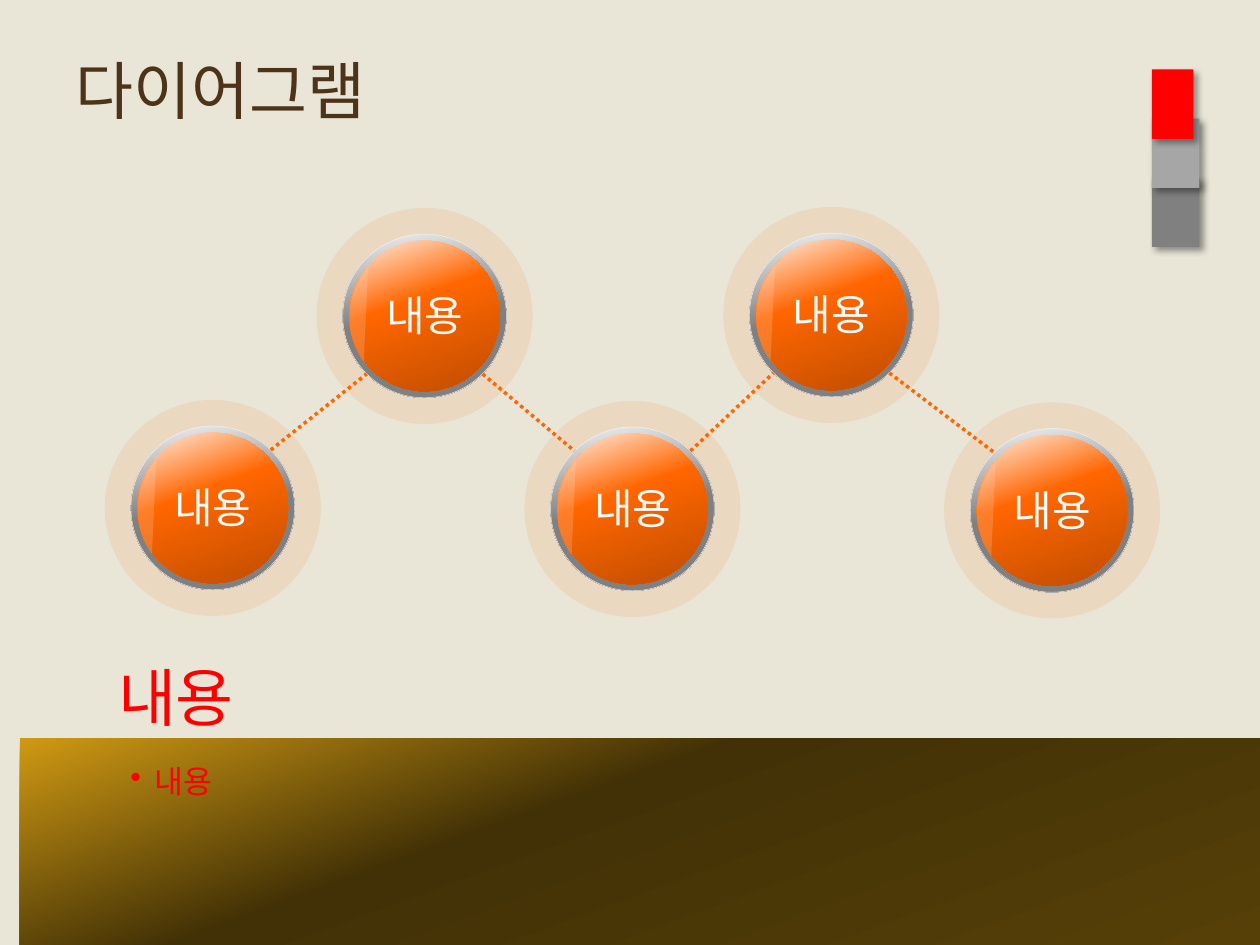
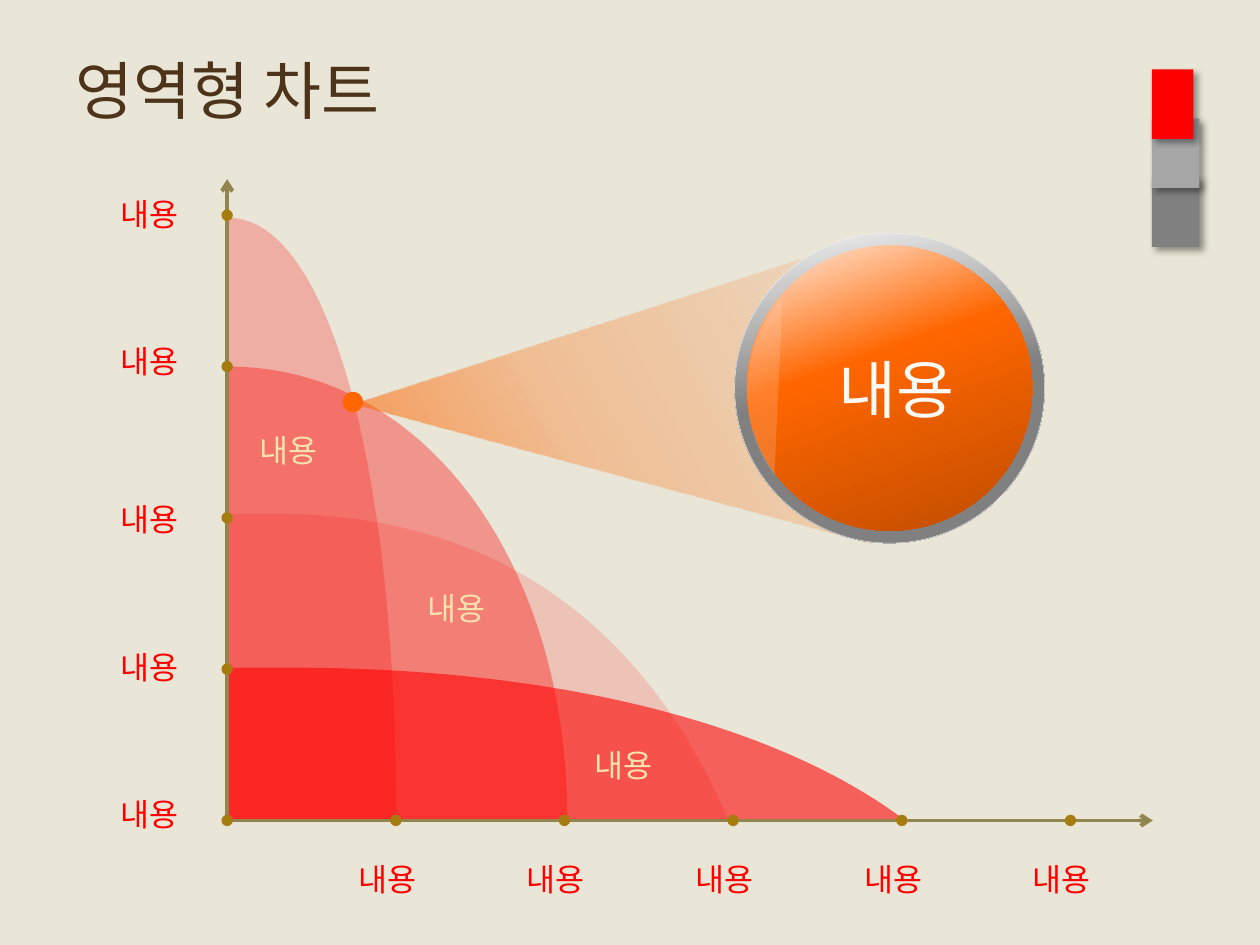
import dataclasses

import lxml.etree
import pptx
import pptx.dml.color
import pptx.enum.dml
import pptx.enum.shapes
import pptx.enum.text
import pptx.oxml.ns
import pptx.util

Cm = pptx.util.Cm
Pt = pptx.util.Pt
qn = pptx.oxml.ns.qn
KIND = pptx.enum.shapes.MSO_SHAPE
ALIGN = pptx.enum.text.PP_ALIGN
ANCHOR = pptx.enum.text.MSO_ANCHOR


@dataclasses.dataclass(frozen=True)
class Theme:
    """Colours, fonts and type sizes of the deck."""
    paper: str = "E9E6D7"
    brown: str = "4D3319"
    red: str = "FF0000"
    orange: str = "FF6600"
    white: str = "FBFAF7"
    cream: str = "F8E3AF"
    axis: str = "91864F"
    dot: str = "A67C0F"
    rim: str = "F2F2F2"
    gloss: str = "FFE0CC"
    dark: str = "808080"
    light: str = "A6A6A6"
    black: str = "000000"
    ring: tuple = ((0, "F2F2F2", 100), (50, "808080", 100), (100, "808080", 100))
    ball: tuple = ((0, "FFF0E6", 100), (40, "FF6600", 100), (100, "BF4D00", 100))
    gold: tuple = ((0, "CF9913", 100), (40, "423106", 100), (100, "564008", 100))
    beam: tuple = ((0, "FF6600", 75), (40, "FF6600", 30), (100, "FF6600", 0))
    head: str = "DejaVu Sans"
    body: str = "Karla"
    large: int = 36
    mid: int = 24
    small: int = 18


THEME = Theme()
WORD = "내용"


def rgb(code):
    """Turn a hex code into a colour."""
    return pptx.dml.color.RGBColor.from_string(code)


def add(parent, tag, **attrs):
    """Append a drawing element with attributes."""
    return lxml.etree.SubElement(parent, qn(tag), {k: str(v) for k, v in attrs.items()})


def paint(shape, fill, alpha=100, angle=0):
    """Fill a shape with a colour or with gradient stops, without line or shadow."""
    shape.shadow.inherit = False
    shape.line.fill.background()
    if isinstance(fill, str):
        shape.fill.solid()
        shape.fill.fore_color.rgb = rgb(fill)
        if alpha < 100:
            tone = shape._element.spPr.find(qn("a:solidFill"))[0]
            add(tone, "a:alpha", val=alpha * 1000)
        return shape
    shape.fill.gradient()
    grad = shape._element.spPr.find(qn("a:gradFill"))
    stops = grad.find(qn("a:gsLst"))
    for old in list(stops):
        stops.remove(old)
    for place, code, clear in fill:
        stop = add(stops, "a:gs", pos=place * 1000)
        add(add(stop, "a:srgbClr", val=code), "a:alpha", val=clear * 1000)
    grad.find(qn("a:lin")).set("ang", str(angle * 60000))
    return shape


def form(shapes, kind, box, fill, **style):
    """Add a painted preset shape."""
    return paint(shapes.add_shape(kind, *map(Cm, box)), fill, **style)


def outline(shapes, points, fill, **style):
    """Add a painted closed outline through points."""
    spots = [(Cm(x), Cm(y)) for x, y in points]
    pen = shapes.build_freeform(*spots[0], scale=1.0)
    pen.add_line_segments(spots[1:], close=True)
    return paint(pen.convert_to_shape(), fill, **style)


def line(shapes, start, end, color, width, dash=None, arrow=False):
    """Add a straight line, with an arrow at its start if asked."""
    link = shapes.add_connector(pptx.enum.shapes.MSO_CONNECTOR.STRAIGHT,
                                *map(Cm, (*start, *end)))
    link.line.color.rgb = rgb(color)
    link.line.width = Pt(width)
    if dash:
        link.line.dash_style = dash
    props = link._element.spPr
    if arrow:
        add(props.find(qn("a:ln")), "a:headEnd", type="arrow")
    add(props, "a:effectLst")


def write(shapes, box, text, size=THEME.small, color=THEME.red, font=THEME.body,
          align=ALIGN.LEFT, anchor=ANCHOR.TOP, wrap=True, inset=True, bullet=False):
    """Add a text box with one formatted paragraph."""
    frame = shapes.add_textbox(*map(Cm, box)).text_frame
    frame.word_wrap = wrap
    frame.vertical_anchor = anchor
    if not inset:
        frame.margin_left = frame.margin_right = Cm(0)
        frame.margin_top = frame.margin_bottom = Cm(0)
    para = frame.paragraphs[0]
    para.alignment = align
    run = para.add_run()
    run.text = text
    run.font.size = Pt(size)
    run.font.name = font
    run.font.color.rgb = rgb(color)
    if bullet:
        props = para._p.get_or_add_pPr()
        props.set("marL", str(Cm(0.48)))
        props.set("indent", str(-Cm(0.48)))
        add(props, "a:buChar", char="•")


def tabs(shapes, box):
    """Stack the three shaded tabs of the corner."""
    x, y, wide, high = box
    for drop, width, color in ((2.18, wide, THEME.dark), (0.99, wide, THEME.light),
                               (0, 0.84, THEME.red)):
        tab = form(shapes, KIND.RECTANGLE, (x, y + drop, width, high), color)
        glow = add(tab._element.spPr.find(qn("a:effectLst")), "a:outerShdw",
                   blurRad=Pt(4), dist=Pt(3), dir=45 * 60000, algn="tl", rotWithShape=0)
        add(add(glow, "a:srgbClr", val=THEME.black), "a:alpha", val=40000)


def base(deck, title):
    """Add a blank slide with its ground, tabs and title."""
    slide = deck.slides.add_slide(deck.slide_layouts[6])
    slide.background.fill.solid()
    slide.background.fill.fore_color.rgb = rgb(THEME.paper)
    tabs(slide.shapes, (23.22, 1.4, 0.96, 1.4))
    write(slide.shapes, (1.27, 0.84, 21.67, 1.93), title, size=THEME.large,
          color=THEME.brown, font=THEME.head, anchor=ANCHOR.MIDDLE)
    return slide


def orb(shapes, box, halo=False):
    """Draw a glossy ball in a metal ring."""
    x, y, size = box
    parts = shapes.add_group_shape().shapes

    def disc(inset, fill, kind=KIND.OVAL, drop=0, **style):
        """Add a round part, inset by a share of the size."""
        edge = size * inset
        side = size - 2 * edge
        return form(parts, kind, (x + edge, y + edge + drop, side, side), fill, **style)

    if halo:
        disc(-0.16, THEME.orange, alpha=10)
    ring = disc(0, THEME.ring, angle=80)
    ring.line.color.rgb = rgb(THEME.rim)
    ring.line.width = Pt(0.25)
    disc(0.04, THEME.ball, angle=70)
    shine = disc(0.04, THEME.gloss, kind=KIND.CHORD, drop=size * 0.01, alpha=20)
    shine.adjustments[0] = 32.37
    shine.adjustments[1] = 78.78
    shine.rotation = 90


def chain(shapes, box):
    """Draw five balls in a zigzag, joined by dotted lines."""
    left, top, size = box
    spots = [(left + x, top + y) for x, y in
             ((0, 3.89), (4.27, 0.02), (8.46, 3.91), (12.47, 0), (16.92, 3.94))]
    for x, y in spots:
        orb(shapes, (x, y, size), halo=True)
        write(shapes, (x + 0.18, y + 1, 2.95, 1.27), WORD, size=THEME.mid,
              color=THEME.white, align=ALIGN.CENTER)
    near, far = size * 0.146, size * 0.854
    for (x, y), (end, low) in zip(spots, spots[1:]):
        out, into = (near, far) if low < y else (far, near)
        line(shapes, (x + far, y + out), (end + near, low + into), THEME.orange, 2,
             dash=pptx.enum.dml.MSO_LINE.ROUND_DOT)


def notes(shapes, box):
    """Draw the gold band with the heading above and the bullet on it."""
    x, y, wide, high = box
    form(shapes, KIND.RECTANGLE, box, THEME.gold, angle=70)
    write(shapes, (x + 1.98, y + 0.36, 20.22, 3.3), WORD, bullet=True)
    write(shapes, (x + 1.98, y - 1.6, 20.62, 1.52), WORD, size=THEME.large,
          anchor=ANCHOR.BOTTOM, inset=False)


def curve(knots, count=40):
    """Sample a cubic curve given by four knots."""
    for step in range(count + 1):
        t = step / count
        parts = ((1 - t) ** 3, 3 * t * (1 - t) ** 2, 3 * t * t * (1 - t), t ** 3)
        yield tuple(sum(p * k[axis] for p, k in zip(parts, knots)) for axis in (0, 1))


AREAS = (
    (15, ((1.02, 6.18), (5.97, 6.18), (8.69, 3.33), (10.11, 0))),
    (35, ((0.03, 9.15), (3.94, 9.15), (6.86, 5.24), (6.86, 0))),
    (24, ((0.03, 12.15), (2.01, 12.15), (3.41, 7.22), (3.41, 0))),
    (58, ((1.27, 3.08), (6.78, 3.08), (11.13, 1.91), (13.67, 0))),
)


def graph(shapes, box):
    """Draw the clear areas, both axes, their dots and labels."""
    x, y, wide, high = box
    foot = y + high
    for alpha, knots in AREAS:
        points = [(0, 0), (0, knots[0][1]), *curve(knots)]
        outline(shapes, [(x + a, foot - b) for a, b in points], THEME.red, alpha=alpha)
    for tip in ((x, y), (x + wide, foot)):
        line(shapes, tip, (x, foot), THEME.axis, 2.25, arrow=True)
    across, rise, dot = 3.4, 3.05, 0.23
    marks = [(0, -rise * i) for i in range(4, -1, -1)]
    marks += [(across * i, 0) for i in range(1, 6)]
    for a, b in marks:
        form(shapes, KIND.OVAL, (x + a - dot / 2, foot + b - dot / 2, dot, dot), THEME.dot)
    tags = [(0.41 + 3.37 * i, 4.95 + 3.18 * i, THEME.cream) for i in range(3)]
    tags += [(-2.39, b, THEME.red) for b in (0.2, 3.17, 6.35, 9.32, 12.29)]
    tags += [(2.39 + across * i, 13.61, THEME.red) for i in range(5)]
    for a, b, color in tags:
        write(shapes, (x + a, y + b, 1.79, 1.02), WORD, color=color, wrap=False)


def zoom(shapes, box):
    """Draw a beam from a dot to a large ball."""
    x, y, wide, high = box
    cone = ((10.41, -1.22), (8.48, 9.55), (3.02, 6.65))
    beam = outline(shapes, [(x + a, y + b) for a, b in cone], THEME.beam, angle=90)
    beam.rotation = 241.9
    orb(shapes, (x + wide - high, y, high))
    form(shapes, KIND.OVAL, (x, y + 3.2, 0.41, 0.41), THEME.orange)
    write(shapes, (x + 9.75, y + 2.23, 3.05, 1.8), WORD, size=THEME.large,
          color=THEME.white, anchor=ANCHOR.MIDDLE, wrap=False)


def main():
    """Build and save the deck."""
    deck = pptx.Presentation()
    deck.slide_width, deck.slide_height = Cm(25.4), Cm(19.05)
    shapes = base(deck, "다이어그램").shapes
    notes(shapes, (0.4, 14.88, 25, 4.17))
    chain(shapes, (2.64, 4.7, 3.3))
    shapes = base(deck, "영역형 차트").shapes
    graph(shapes, (4.58, 3.61, 18.66, 12.93))
    zoom(shapes, (6.91, 4.7, 14.15, 6.25))
    deck.save("out.pptx")


if __name__ == "__main__":
    main()
